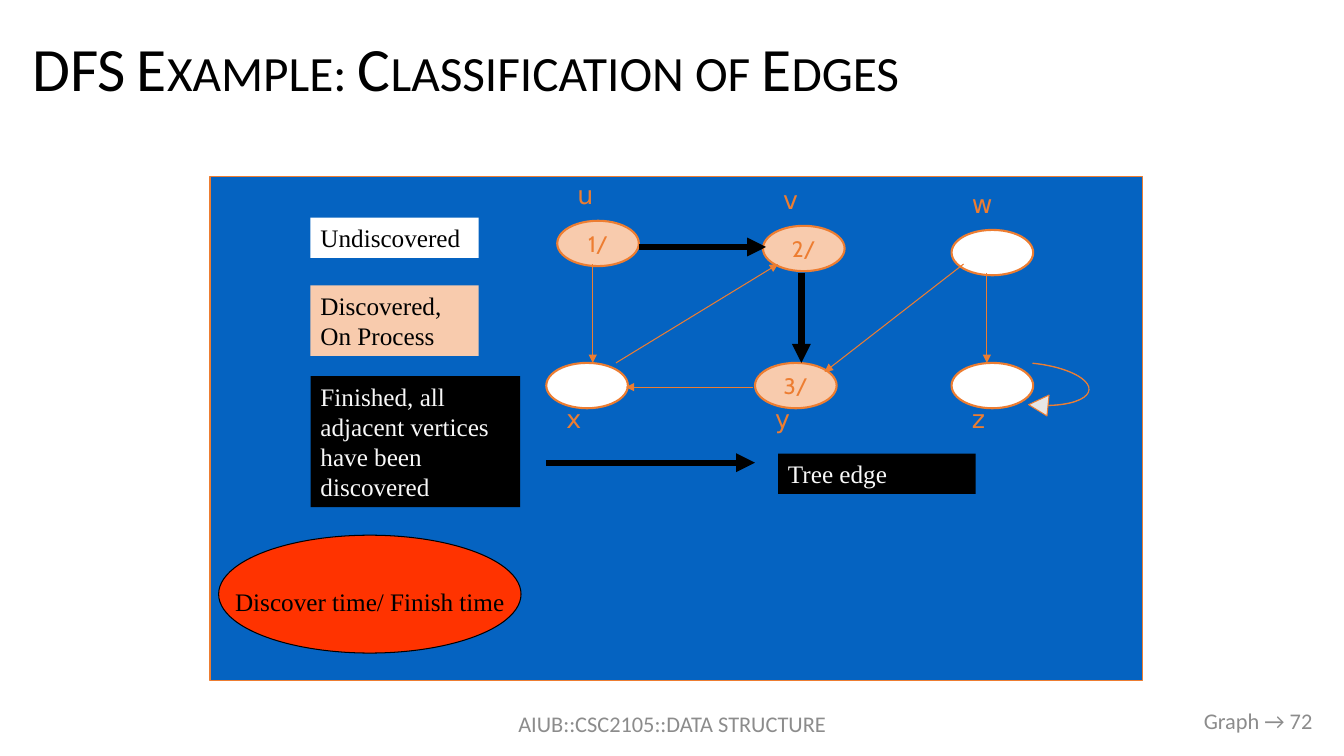
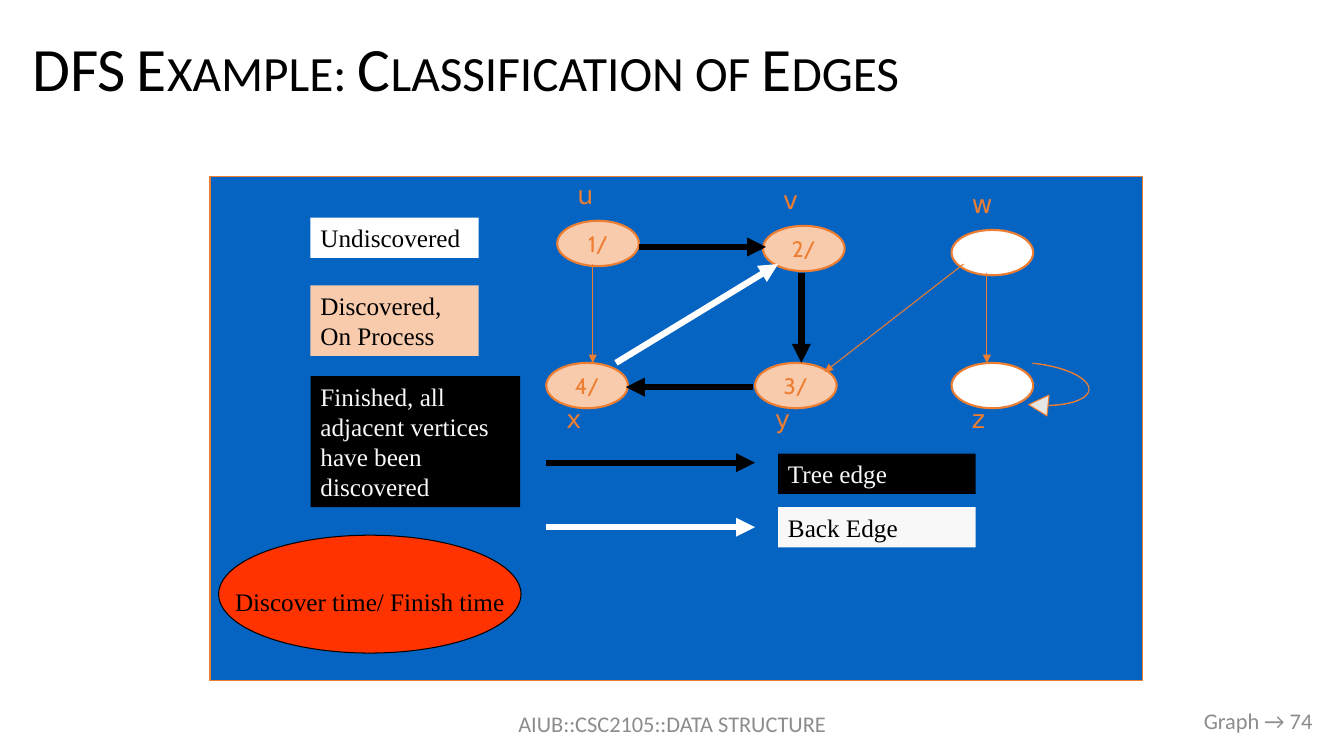
from dataclasses import dataclass

from lxml.etree import SubElement
from pptx import Presentation
from pptx.dml.color import RGBColor
from pptx.enum.shapes import MSO_CONNECTOR, MSO_SHAPE
from pptx.enum.text import MSO_ANCHOR, MSO_AUTO_SIZE, PP_ALIGN
from pptx.oxml.ns import qn
from pptx.util import Pt


@dataclass(frozen=True)
class Theme:
    black: str = "000000"
    white: str = "FFFFFF"
    pale: str = "F8F8F8"
    gray: str = "8C8C8C"
    blue: str = "0563C1"
    orange: str = "ED7D31"
    peach: str = "F8CBAD"
    red: str = "FF3300"
    silver: str = "E7E6E6"
    sans: str = "Calibri"
    serif: str = "Times New Roman"
    mark: str = "Cabin"
    label: str = "DejaVu Sans"
    head: float = 44
    text: float = 18
    small: float = 16
    thin: float = 0.75
    rim: float = 1.5
    thick: float = 4.5


THEME = Theme()
TITLE = "DFS Example: Classification of Edges"
FOOTER = "AIUB::CSC2105::DATA STRUCTURE"
NODE = (58.3, 32.4)
NODES = {
    "u": (398, 157.7, -33),
    "v": (545, 161.3, -33),
    "w": (679.7, 164.2, -33),
    "x": (390.2, 259.2, 25),
    "y": (539.3, 259.2, 25),
    "z": (679.7, 259.2, 25),
}
EDGES = {
    "uv": (456.5, 176.4, 547.2, 176.4),
    "yx": (537.8, 276.5, 447.1, 276.5),
    "vy": (572.4, 195, 572.4, 259.2),
    "ux": (423.4, 188.6, 423.4, 259.2),
    "wz": (704.9, 195, 704.9, 259.2),
    "wy": (688.3, 188.6, 589, 265.7),
    "xv": (440, 259.2, 555.8, 188.6),
}
STATES = (
    ("Undiscovered", (221.8, 155.5, 120.2, 28.8), THEME.white, THEME.black),
    ("Discovered, On Process", (221.8, 203.8, 120.2, 50.4), THEME.peach, THEME.black),
    ("Finished, all adjacent vertices have been discovered",
     (221.8, 268.6, 149.8, 93.6), THEME.black, THEME.pale),
)
KEYS = {
    "tree": ("Tree edge", 330.5, 324, THEME.black, THEME.black, THEME.pale),
    "back": ("Back Edge", 376.6, 362.2, THEME.white, THEME.pale, THEME.black),
}
STEPS = (
    (72, {"u": "1/", "v": "2/", "y": "3/"}, {"tree": ("uv", "vy")}),
    (74, {"u": "1/", "v": "2/", "y": "3/", "x": "4/"},
     {"tree": ("uv", "yx", "vy"), "back": ("xv",)}),
)


def write(frame, text, font=THEME.serif, size=THEME.text, color=THEME.black,
          align=PP_ALIGN.LEFT, anchor=MSO_ANCHOR.TOP, wrap=True,
          left=7.2, top=3.6, space=1, caps=False):
    frame.auto_size = MSO_AUTO_SIZE.NONE
    frame.word_wrap = wrap
    frame.vertical_anchor = anchor
    frame.margin_left, frame.margin_top = Pt(left), Pt(top)
    para = frame.paragraphs[0]
    para.alignment = align
    para.line_spacing = space
    run = para.add_run()
    run.text = text
    run.font.name = font
    run.font.size = Pt(size)
    run.font.color.rgb = RGBColor.from_string(color)
    if caps:
        run.font._element.set("cap", "small")


class Deck:
    def __init__(self, theme):
        self.theme = theme
        self.show = Presentation()
        self.show.slide_width, self.show.slide_height = Pt(960), Pt(540)
        self.slide = None

    def page(self, number):
        t = self.theme
        self.slide = self.show.slides.add_slide(self.show.slide_layouts[5])
        title = self.slide.shapes.title
        title.left, title.top, title.width, title.height = map(Pt, (15.8, 17.3, 928.8, 67))
        write(title.text_frame, TITLE, font=t.sans, size=t.head,
              anchor=MSO_ANCHOR.MIDDLE, space=0.9, caps=True)
        foot = {"font": t.sans, "size": t.small, "color": t.gray,
                "anchor": MSO_ANCHOR.MIDDLE}
        self.text((318.2, 502.6, 324, 28.8), FOOTER, align=PP_ALIGN.CENTER, **foot)
        self.text((728.6, 500.4, 216, 28.8), f"Graph → {number}",
                  align=PP_ALIGN.RIGHT, **foot)

    def text(self, box, text, **style):
        shape = self.slide.shapes.add_textbox(*map(Pt, box))
        write(shape.text_frame, text, **style)

    def shape(self, kind, box, fill, line=None, width=THEME.thin, text=None, **style):
        shape = self.slide.shapes.add_shape(kind, *map(Pt, box))
        shape.shadow.inherit = False
        shape.fill.solid()
        shape.fill.fore_color.rgb = RGBColor.from_string(fill)
        if line:
            shape.line.color.rgb = RGBColor.from_string(line)
            shape.line.width = Pt(width)
        else:
            shape.line.fill.background()
        if text:
            write(shape.text_frame, text, **style)
        return shape

    def arrow(self, ends, color, width):
        line = self.slide.shapes.add_connector(MSO_CONNECTOR.STRAIGHT, *map(Pt, ends))
        line.line.color.rgb = RGBColor.from_string(color)
        line.line.width = Pt(width)
        props = line.element.spPr
        SubElement(props.find(qn("a:ln")), qn("a:tailEnd"), type="triangle")
        SubElement(props, qn("a:effectLst"))

    def loop(self):
        t = self.theme
        shape = self.shape(MSO_SHAPE.CURVED_DOWN_ARROW, (738, 259.2, 37.4, 41.8),
                           t.silver, t.orange)
        shape.rotation = 95.8
        for i, value in enumerate((0.006, 0.402, 0.369)):
            shape.adjustments[i] = value

    def node(self, name, mark):
        t = self.theme
        left, top, shift = NODES[name]
        self.shape(MSO_SHAPE.OVAL, (left, top, *NODE), t.peach if mark else t.white,
                   t.orange, t.rim, mark, font=t.mark, size=t.small, color=t.orange,
                   align=PP_ALIGN.CENTER, anchor=MSO_ANCHOR.MIDDLE, wrap=False)
        self.text((left + 1.4, top + shift, NODE[0], 28.8), name,
                  font=t.label, color=t.orange, left=13)

    def graph(self, marks, paths):
        t = self.theme
        for name in NODES:
            self.node(name, marks.get(name))
        kinds = {edge: kind for kind, group in paths.items() for edge in group}
        for edge, ends in EDGES.items():
            if edge in kinds:
                self.arrow(ends, KEYS[kinds[edge]][3], t.thick)
            else:
                self.arrow(ends, t.orange, t.thin)

    def legend(self, kinds):
        t = self.theme
        for kind in kinds:
            text, mid, top, line, fill, color = KEYS[kind]
            self.arrow((390.2, mid, 539.3, mid), line, t.thick)
            self.shape(MSO_SHAPE.RECTANGLE, (555.8, top, 141.1, 28.8), fill,
                       text=text, color=color)
        for text, box, fill, color in STATES:
            self.shape(MSO_SHAPE.RECTANGLE, box, fill, text=text, color=color)
        self.shape(MSO_SHAPE.OVAL, (156.2, 382.3, 216, 84.2), t.red, t.black,
                   text="Discover time/ Finish time", align=PP_ALIGN.CENTER,
                   anchor=MSO_ANCHOR.MIDDLE, wrap=False, top=14.6)


def main():
    deck = Deck(THEME)
    for number, marks, paths in STEPS:
        deck.page(number)
        deck.shape(MSO_SHAPE.RECTANGLE, (150, 126, 666, 360), THEME.blue, THEME.orange)
        deck.loop()
        deck.graph(marks, paths)
        deck.legend(paths)
    deck.show.save("out.pptx")


if __name__ == "__main__":
    main()
